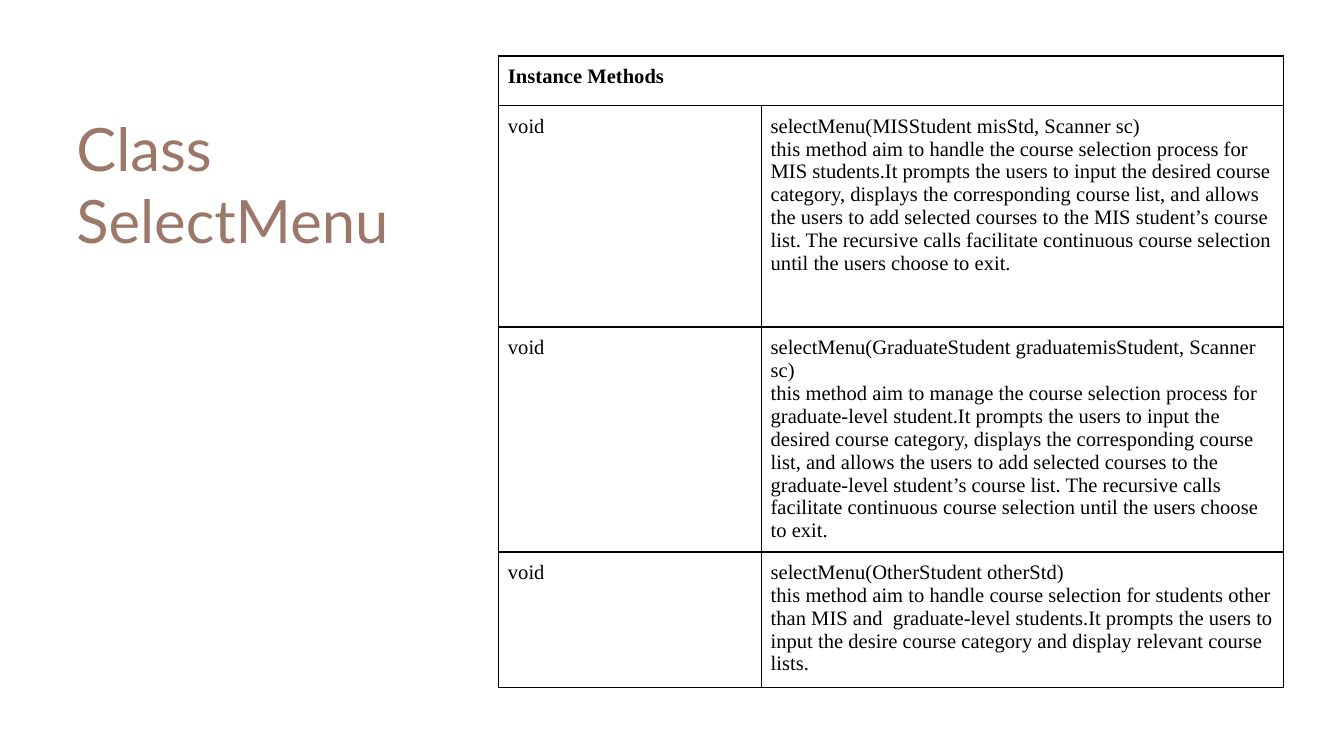
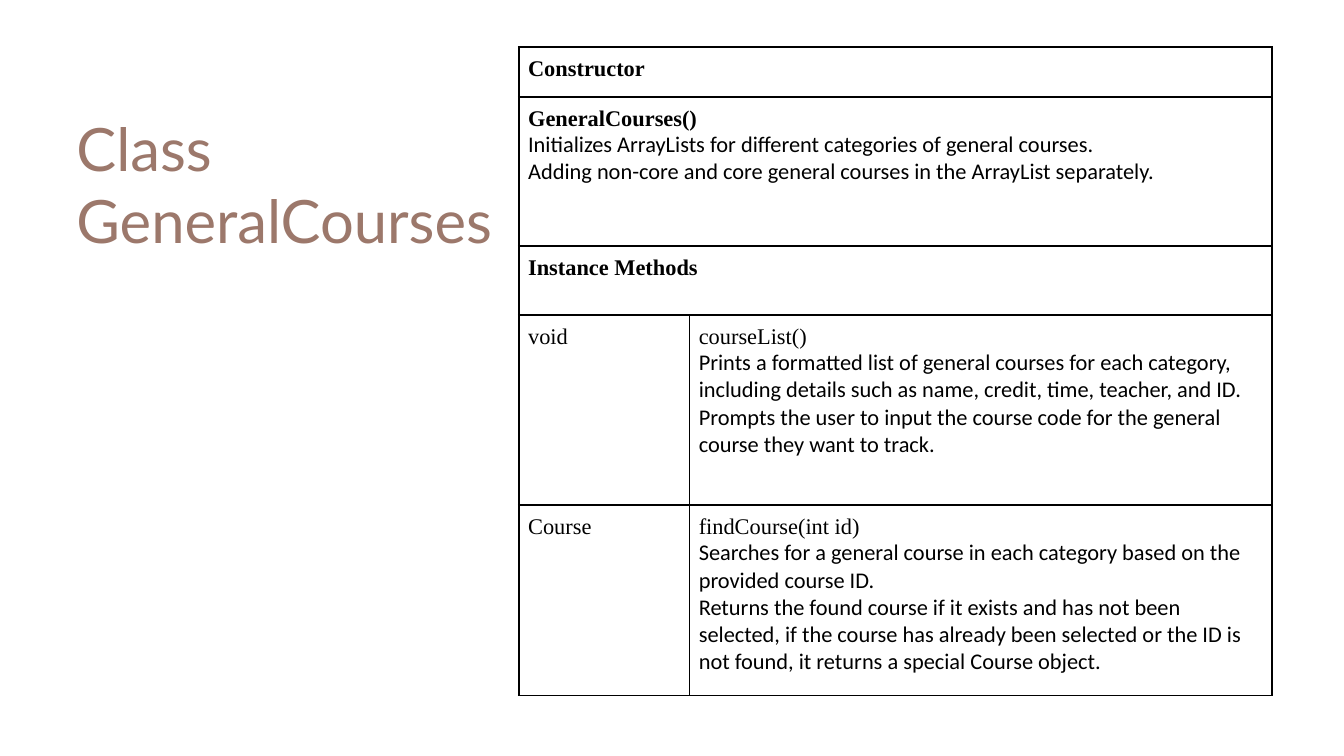
import dataclasses

import pptx
import pptx.dml.color
import pptx.enum.text
import pptx.oxml
import pptx.oxml.ns
import pptx.util


@dataclasses.dataclass(frozen=True)
class Theme:
    title: str = "9C786B"
    text: str = "000000"
    cell: str = "FFFFFF"
    border: str = "000000"
    title_font: str = "Lato"
    code_font: str = "Times New Roman"
    prose_font: str = "Calibri"
    title_size: int = 32
    compact_size: int = 11
    regular_size: int = 12
    border_width: int = 1


theme = Theme()
SCALE = 4572
CELL_INSET = 14
TITLE_INSET = 20


def write_line(frame, index, text, font, size, color, bold=False):
    para = frame.paragraphs[0] if index == 0 else frame.add_paragraph()
    span = para.add_run()
    span.text = text
    span.font.name = font
    span.font.size = pptx.util.Pt(size)
    span.font.bold = bold
    span.font.color.rgb = pptx.dml.color.RGBColor.from_string(color)


def style_cell(cell):
    properties = cell._tc.get_or_add_tcPr()
    for side in ("lnL", "lnR", "lnT", "lnB"):
        properties.append(pptx.oxml.parse_xml(
            f'<a:{side} {pptx.oxml.ns.nsdecls("a")} w="{pptx.util.Pt(theme.border_width)}">'
            f'<a:solidFill><a:srgbClr val="{theme.border}"/></a:solidFill></a:{side}>'
        ))
    cell.fill.solid()
    cell.fill.fore_color.rgb = pptx.dml.color.RGBColor.from_string(theme.cell)
    cell.margin_left = cell.margin_right = CELL_INSET * SCALE
    cell.margin_top = cell.margin_bottom = CELL_INSET * SCALE


class_pages = [
    {
        "name": "SelectMenu",
        "left": 742, "top": 83,
        "columns": [391, 777],
        "heights": [74, 330, 330, 202],
        "size": theme.compact_size,
        "description_font": theme.code_font,
        "rows": [
            [["Instance Methods"]],
            [["void"], [
                "selectMenu(MISStudent misStd, Scanner sc)",
                "this method aim to handle the course selection process for MIS students."
                "It prompts the users to input the desired course category, displays the "
                "corresponding course list, and allows the users to add selected courses to "
                "the MIS student’s course list. The recursive calls facilitate continuous "
                "course selection until the users choose to exit.",
            ]],
            [["void"], [
                "selectMenu(GraduateStudent graduatemisStudent, Scanner sc)",
                "this method aim to manage the course selection process for graduate-level "
                "student.It prompts the users to input the desired course category, displays "
                "the corresponding course list, and allows the users to add selected courses "
                "to the graduate-level student’s course list. The recursive calls facilitate "
                "continuous course selection until the users choose to exit.",
            ]],
            [["void"], [
                "selectMenu(OtherStudent otherStd)",
                "this method aim to handle course selection for students other than MIS and  "
                "graduate-level students.It prompts the users to input the desire course "
                "category and display relevant course lists.",
            ]],
        ],
    },
    {
        "name": "GeneralCourses",
        "left": 772, "top": 70,
        "columns": [254, 867],
        "heights": [74, 222, 103, 283, 283],
        "size": theme.regular_size,
        "description_font": theme.prose_font,
        "rows": [
            [["Constructor"]],
            [[
                "GeneralCourses()",
                "Initializes ArrayLists for different categories of general courses.",
                "Adding non-core and core general courses in the ArrayList separately.",
            ]],
            [["Instance Methods"]],
            [["void"], [
                "courseList()",
                "Prints a formatted list of general courses for each category, including "
                "details such as name, credit, time, teacher, and ID.",
                "Prompts the user to input the course code for the general course they want "
                "to track.",
            ]],
            [["Course"], [
                "findCourse(int id)",
                "Searches for a general course in each category based on the provided "
                "course ID.",
                "Returns the found course if it exists and has not been selected, if the "
                "course has already been selected or the ID is not found, it returns a "
                "special Course object.",
            ]],
        ],
    },
]

deck = pptx.Presentation()
deck.slide_width = 2000 * SCALE
deck.slide_height = 1125 * SCALE

for content in class_pages:
    page = deck.slides.add_slide(deck.slide_layouts[6])

    table = page.shapes.add_table(
        len(content["rows"]), len(content["columns"]),
        content["left"] * SCALE, content["top"] * SCALE,
        sum(content["columns"]) * SCALE, sum(content["heights"]) * SCALE,
    ).table
    table.first_row = False
    table.horz_banding = False
    for column, width in zip(table.columns, content["columns"]):
        column.width = width * SCALE
    for row, height in zip(table.rows, content["heights"]):
        row.height = height * SCALE
    for cell in table.iter_cells():
        style_cell(cell)

    for row_index, cells in enumerate(content["rows"]):
        spans_row = len(cells) == 1
        if spans_row:
            table.cell(row_index, 0).merge(table.cell(row_index, 1))
        for column_index, lines in enumerate(cells):
            frame = table.cell(row_index, column_index).text_frame
            for index, line in enumerate(lines):
                font = theme.code_font if index == 0 else content["description_font"]
                write_line(frame, index, line, font, content["size"], theme.text,
                           bold=spans_row and index == 0)

    box = page.shapes.add_textbox(94 * SCALE, 200 * SCALE, 998 * SCALE, 146 * SCALE)
    frame = box.text_frame
    frame.word_wrap = True
    frame.vertical_anchor = pptx.enum.text.MSO_ANCHOR.MIDDLE
    frame.margin_left = frame.margin_right = TITLE_INSET * SCALE
    frame.margin_top = frame.margin_bottom = TITLE_INSET * SCALE
    for index, line in enumerate(["Class", content["name"]]):
        write_line(frame, index, line, theme.title_font, theme.title_size, theme.title)

deck.save("out.pptx")
